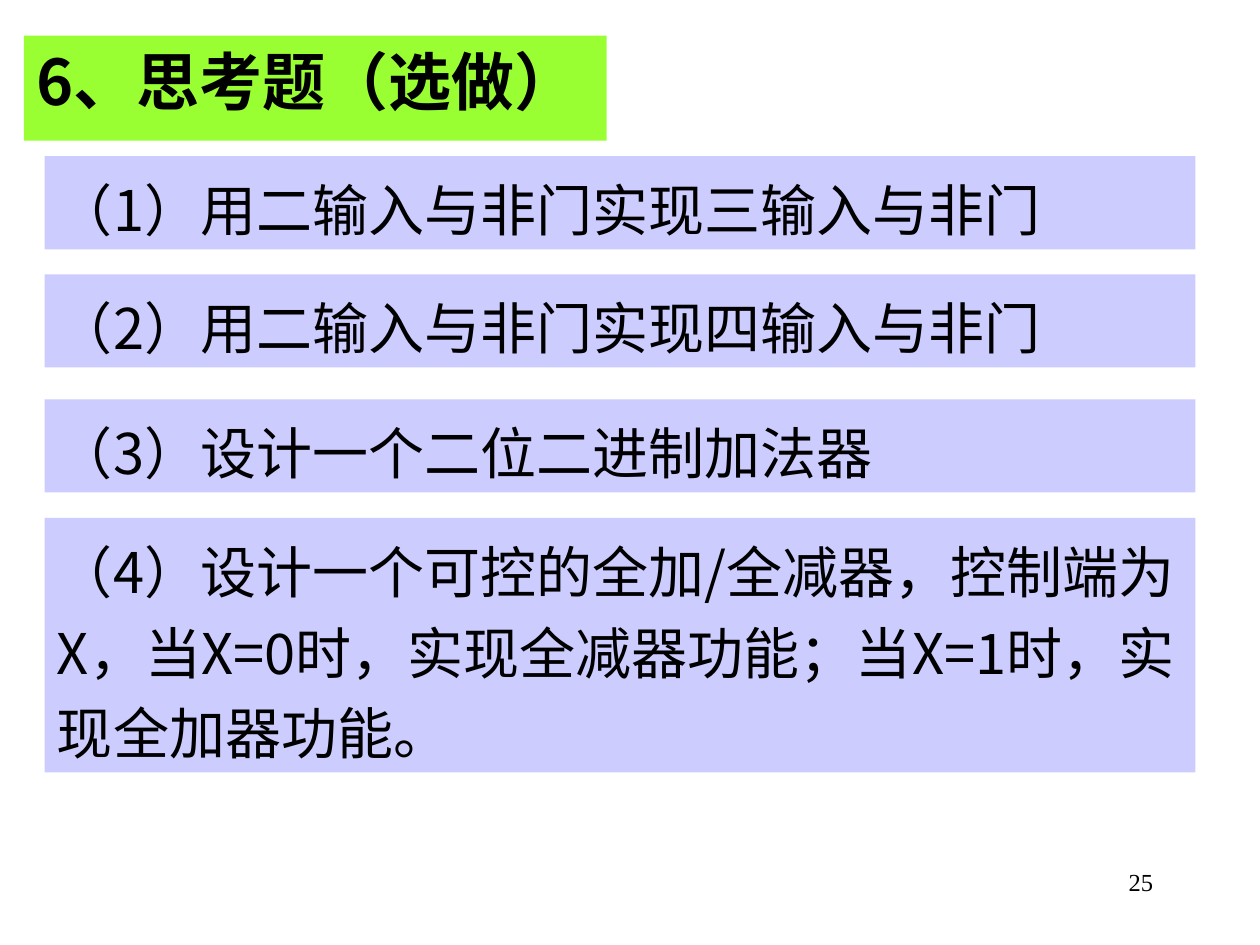
from dataclasses import dataclass

from lxml.etree import SubElement
from pptx import Presentation
from pptx.dml.color import RGBColor
from pptx.enum.lang import MSO_LANGUAGE_ID
from pptx.enum.shapes import MSO_SHAPE
from pptx.enum.text import MSO_ANCHOR, MSO_AUTO_SIZE, PP_ALIGN
from pptx.oxml.ns import qn
from pptx.util import Cm, Pt


@dataclass(frozen=True)
class Theme:
    ink: RGBColor = RGBColor(0x00, 0x00, 0x00)
    heading_fill: RGBColor = RGBColor(0x99, 0xFF, 0x33)
    question_fill: RGBColor = RGBColor(0xCC, 0xCC, 0xFF)
    body_font: str = "Noto Sans CJK SC"
    number_font: str = "Times New Roman"
    heading_size: int = 36
    question_size: int = 32
    number_size: int = 14
    question_spacing: float = 1.2


class SlideBuilder:
    def __init__(self, slide, theme):
        self.slide = slide
        self.theme = theme

    def place(self, shape, left, top, width, height):
        shape.left, shape.top = Cm(left), Cm(top)
        shape.width, shape.height = Cm(width), Cm(height)

    def paint(self, shape, color):
        shape.fill.solid()
        shape.fill.fore_color.rgb = color

    def set_text(self, shape, text, size, font_name, bold=False,
                 align=PP_ALIGN.LEFT, spacing=1.0, wrap=True,
                 auto_size=MSO_AUTO_SIZE.SHAPE_TO_FIT_TEXT):
        frame = shape.text_frame
        frame.text = text
        frame.word_wrap = wrap
        frame.auto_size = auto_size
        frame.vertical_anchor = MSO_ANCHOR.TOP
        paragraph = frame.paragraphs[0]
        paragraph.alignment = align
        paragraph.line_spacing = spacing
        for run in paragraph.runs:
            run.font.size = Pt(size)
            run.font.bold = bold
            run.font.name = font_name
            run.font.color.rgb = self.theme.ink
            run.font.language_id = MSO_LANGUAGE_ID.SIMPLIFIED_CHINESE
            properties = run._r.get_or_add_rPr()
            SubElement(properties, qn("a:ea")).set("typeface", font_name)

    def heading(self, text, left, top, width, height):
        title = self.slide.shapes.title
        self.place(title, left, top, width, height)
        self.paint(title, self.theme.heading_fill)
        self.set_text(title, text, self.theme.heading_size,
                      self.theme.body_font, bold=True, wrap=False)

    def question(self, text, left, top, width, height):
        panel = self.slide.shapes.add_shape(
            MSO_SHAPE.RECTANGLE, Cm(left), Cm(top), Cm(width), Cm(height))
        panel.shadow.inherit = False
        panel.line.fill.background()
        self.paint(panel, self.theme.question_fill)
        self.set_text(panel, text, self.theme.question_size,
                      self.theme.body_font,
                      spacing=self.theme.question_spacing)

    def page_number(self, text, left, top, width, height):
        number = self.slide.shapes.add_textbox(
            Cm(left), Cm(top), Cm(width), Cm(height))
        self.set_text(number, text, self.theme.number_size,
                      self.theme.number_font, align=PP_ALIGN.RIGHT,
                      auto_size=MSO_AUTO_SIZE.NONE)


def main():
    presentation = Presentation()
    presentation.slide_width, presentation.slide_height = Cm(25.4), Cm(19.05)
    title_only = presentation.slide_layouts[5]
    builder = SlideBuilder(presentation.slides.add_slide(title_only), Theme())

    builder.page_number("25", 18.2, 17.35, 5.3, 1.27)
    builder.heading("6、思考题（选做）", 0.48, 0.72, 11.75, 1.78)

    questions = [
        ("（1）用二输入与非门实现三输入与非门", 3.15, 1.88),
        ("（2）用二输入与非门实现四输入与非门", 5.53, 1.88),
        ("（3）设计一个二位二进制加法器", 8.05, 1.88),
        ("（4）设计一个可控的全加/全减器，控制端为X，当X=0时，"
         "实现全减器功能；当X=1时，实现全加器功能。", 10.44, 5.13),
    ]
    for question, top, height in questions:
        builder.question(question, 0.9, top, 23.2, height)

    presentation.save("out.pptx")


if __name__ == "__main__":
    main()
